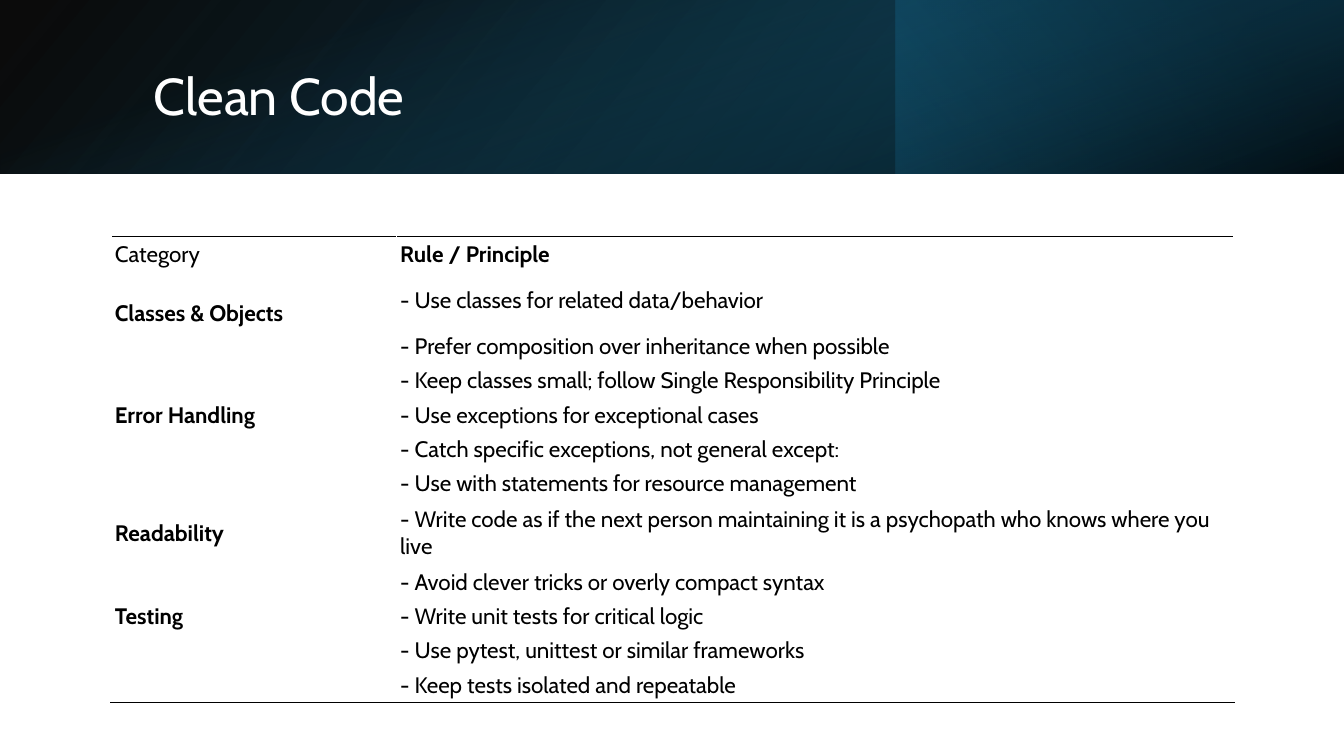
from lxml.etree import fromstring
from pptx import Presentation
from pptx.dml.color import RGBColor
from pptx.enum.shapes import MSO_SHAPE
from pptx.enum.text import MSO_ANCHOR, PP_ALIGN
from pptx.oxml.ns import nsdecls
from pptx.util import Inches, Pt

FONT = "Cabin"
COLORS = {"black": "000000", "white": "FFFFFF", "navy": "0B3041",
          "teal": "156082", "deep": "104862"}

RULES = [
    ("Classes & Objects", [
        "- Use classes for related data/behavior",
        "- Prefer composition over inheritance when possible",
        "- Keep classes small; follow Single Responsibility Principle"]),
    ("Error Handling", [
        "- Use exceptions for exceptional cases",
        "- Catch specific exceptions, not general except:",
        "- Use with statements for resource management"]),
    ("Readability", [
        "- Write code as if the next person maintaining it is a psychopath "
        "who knows where you live",
        "- Avoid clever tricks or overly compact syntax"]),
    ("Testing", [
        "- Write unit tests for critical logic",
        "- Use pytest, unittest or similar frameworks",
        "- Keep tests isolated and repeatable"]),
]


def add_run(p, text, size, color, bold=False):
    r = p.add_run()
    r.text = text
    r.font.name, r.font.size, r.font.bold = FONT, Pt(size), bold
    r.font.color.rgb = RGBColor.from_string(COLORS[color])


def add_gradient(slide, box, stops, angle, rotation=0, flip=False):
    """Rectangle with a linear gradient; stops are (position, color, opacity)."""
    s = slide.shapes.add_shape(MSO_SHAPE.RECTANGLE, *map(Inches, box))
    s.shadow.inherit = False
    s.line.fill.background()
    s.rotation = rotation
    spPr = s.element.spPr
    if flip:
        spPr.xfrm.set("flipH", "1")
    stop_xml = "".join(
        f'<a:gs pos="{pos * 1000}"><a:srgbClr val="{COLORS[color]}">'
        f'<a:alpha val="{alpha * 1000}"/></a:srgbClr></a:gs>'
        for pos, color, alpha in stops)
    spPr.insert(2, fromstring(
        f'<a:gradFill {nsdecls("a")} rotWithShape="1"><a:gsLst>{stop_xml}</a:gsLst>'
        f'<a:lin ang="{angle * 60000}" scaled="0"/></a:gradFill>'))


def add_banner(slide, x, y, w, h):
    # Layered gradients
    add_gradient(slide, (x, y, w, h),
                 [(0, "black", 96), (100, "deep", 100)], 140, flip=True)
    add_gradient(slide, (x + w * 2 / 3, y, w / 3, h),
                 [(19, "navy", 68), (100, "teal", 79)], 320, rotation=180)
    add_gradient(slide, (x + (w - h) / 2, y + (h - w) / 2, h, w),
                 [(23, "teal", 0), (99, "black", 74)], 340, rotation=90)


def add_title(slide, x, y, w, h, text):
    s = slide.shapes.add_shape(MSO_SHAPE.OVAL, *map(Inches, (x, y, w, h)))
    s.shadow.inherit = False
    s.fill.background()
    s.line.fill.background()
    tf = s.text_frame
    tf.word_wrap = True
    tf.vertical_anchor = MSO_ANCHOR.MIDDLE
    p = tf.paragraphs[0]
    p.alignment = PP_ALIGN.LEFT
    p.line_spacing = 0.9
    add_run(p, text, 37, "white")


def add_border(cell, side):
    cell._tc.get_or_add_tcPr().insert(0, fromstring(
        f'<a:{side} {nsdecls("a")} w="12700"><a:solidFill>'
        f'<a:srgbClr val="{COLORS["black"]}"/></a:solidFill></a:{side}>'))


def fill_cell(cell, text, bold):
    cell.fill.background()
    cell.vertical_anchor = MSO_ANCHOR.MIDDLE
    cell.margin_left = cell.margin_right = Inches(0.04)
    cell.margin_top = cell.margin_bottom = Inches(0.02)
    add_run(cell.text_frame.paragraphs[0], text, 16, "black", bold)


def add_rules_table(slide, x, y, w, label_w):
    rows = [("Category", "Rule / Principle")]
    for category, rules in RULES:
        rows += [(category if i == 0 else "", rule) for i, rule in enumerate(rules)]
    heights = [0.34] * len(rows)
    heights[1], heights[7] = 0.58, 0.64  # first rule row and the two-line rule

    table = slide.shapes.add_table(
        len(rows), 2, *map(Inches, (x, y, w, sum(heights)))).table
    table.first_row = table.horz_banding = False
    table.columns[0].width = Inches(label_w)
    table.columns[1].width = Inches(w - label_w)
    for i, (label, rule) in enumerate(rows):
        table.rows[i].height = Inches(heights[i])
        fill_cell(table.cell(i, 0), label, bold=i > 0)
        fill_cell(table.cell(i, 1), rule, bold=i == 0)
    # The first category sits low in its row
    table.cell(1, 0).margin_top = Inches(0.28)

    # Rules above and below the table
    for col in range(2):
        add_border(table.cell(0, col), "lnT")
        add_border(table.cell(len(rows) - 1, col), "lnB")


def main():
    prs = Presentation()
    prs.slide_width, prs.slide_height = Inches(13.33), Inches(7.5)
    slide = prs.slides.add_slide(prs.slide_layouts[6])
    add_banner(slide, 0, 0, 13.33, 1.72)
    add_title(slide, 0.44, 0.5, 6.74, 0.96, "Clean Code")
    add_rules_table(slide, 1.1, 2.35, 11.14, 2.83)
    prs.save("out.pptx")


if __name__ == "__main__":
    main()
